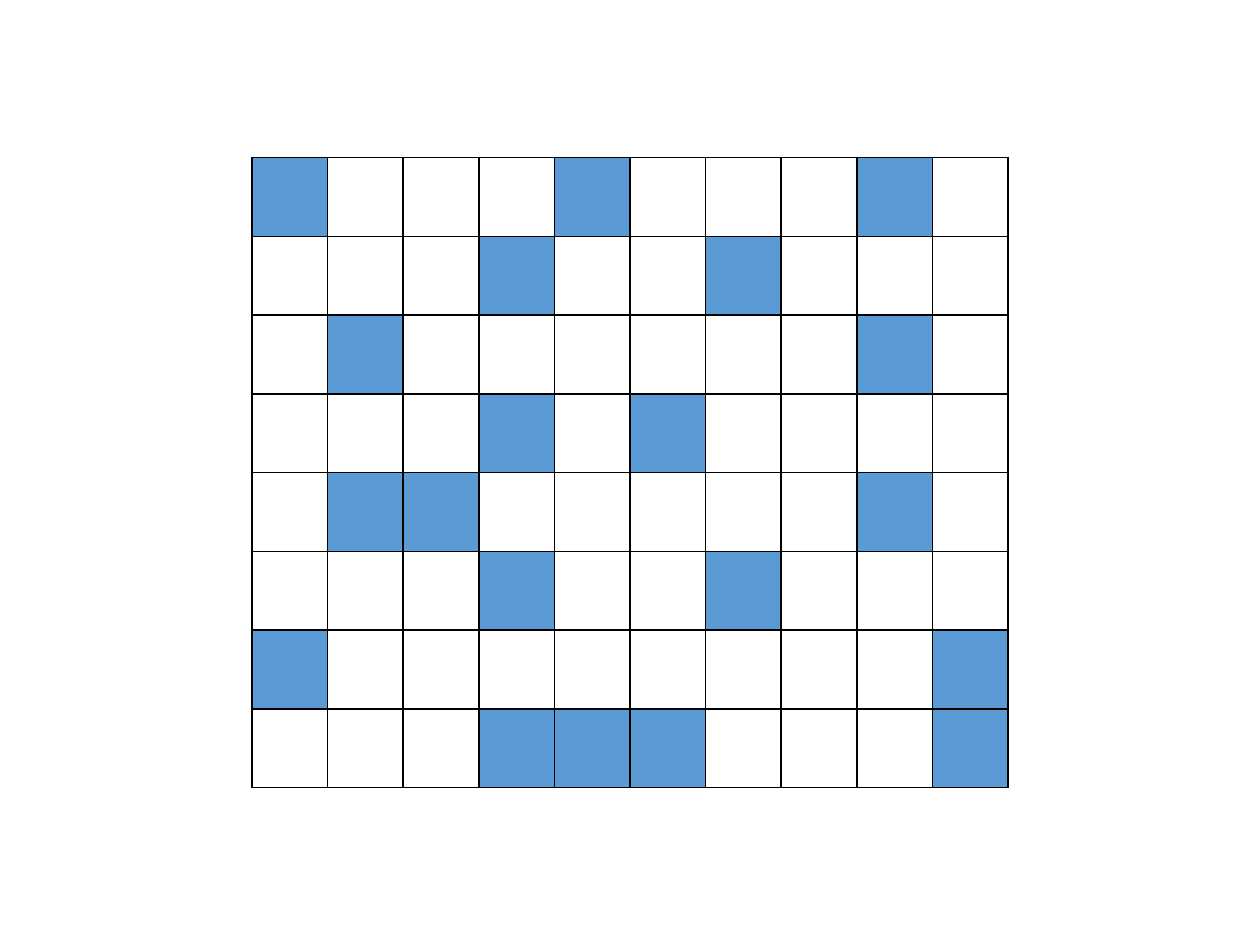
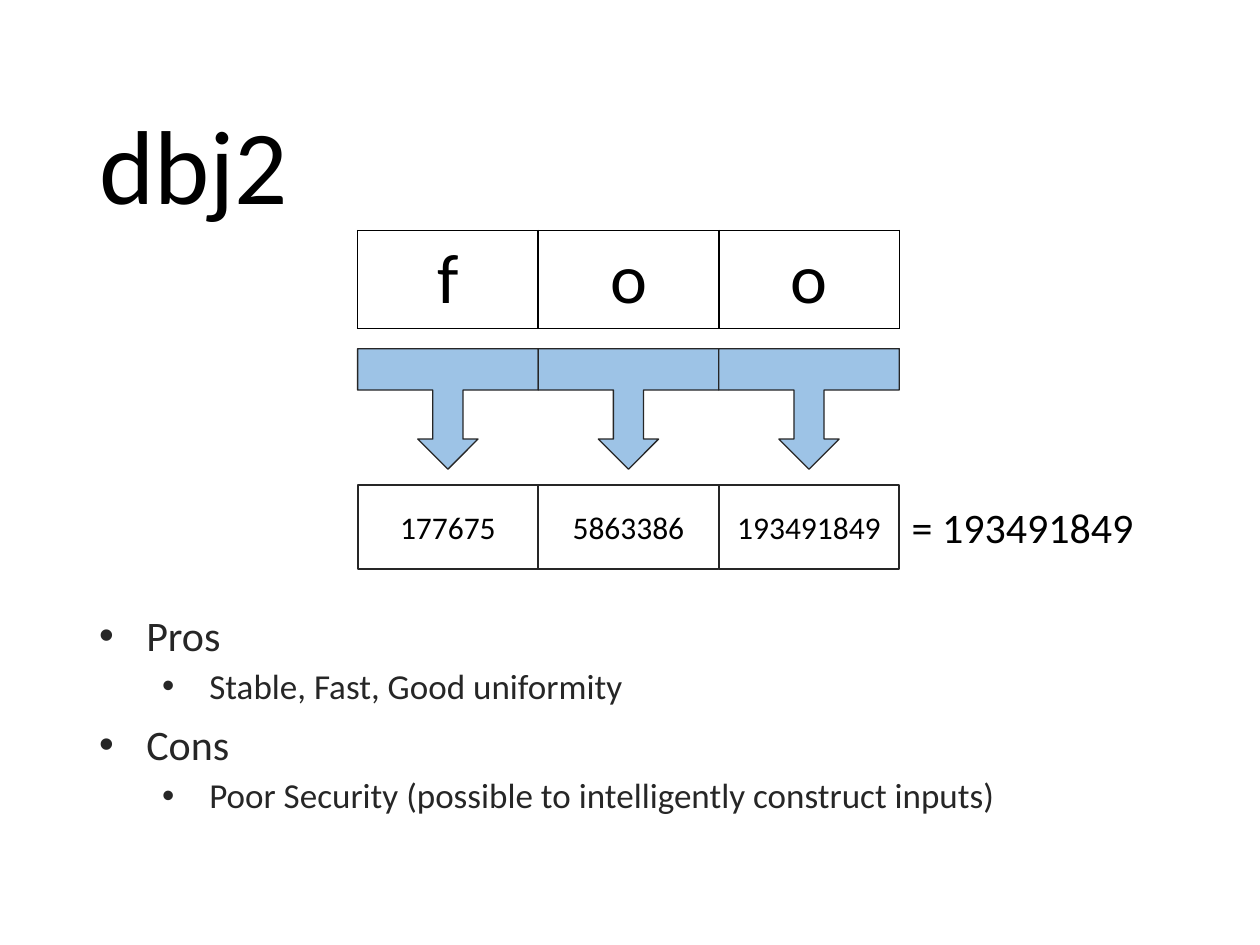
from lxml import etree
from pptx import Presentation
from pptx.dml.color import RGBColor
from pptx.enum.shapes import MSO_SHAPE
from pptx.enum.text import MSO_ANCHOR, PP_ALIGN
from pptx.oxml.ns import qn
from pptx.util import Cm, Pt

CALLOUT, RECTANGLE = MSO_SHAPE.DOWN_ARROW_CALLOUT, MSO_SHAPE.RECTANGLE
MIDDLE, BOTTOM, TOP = MSO_ANCHOR.MIDDLE, MSO_ANCHOR.BOTTOM, MSO_ANCHOR.TOP
CENTER, LEFT = PP_ALIGN.CENTER, PP_ALIGN.LEFT

FONT = "Calibri"
COLORS = {
    "bucket": "5B9BD5",
    "arrow": "9DC3E6",
    "paper": "FFFFFF",
    "ink": "000000",
    "soft_ink": "262626",
}

HASH_BUCKETS = [
    "#...#...#.",
    "...#..#...",
    ".#......#.",
    "...#.#....",
    ".##.....#.",
    "...#..#...",
    "#........#",
    "...###...#",
]
TITLE = "dbj2"
HASH_STEPS = [("f", "177675"), ("o", "5863386"), ("o", "193491849")]
HASH_RESULT = "= 193491849"
ASSESSMENT = [
    (0, "Pros"),
    (1, "Stable, Fast, Good uniformity"),
    (0, "Cons"),
    (1, "Poor Security (possible to intelligently construct inputs)"),
]
LEVELS = [
    {"size": 24, "before": 10, "indent": 0.95},
    {"size": 20, "before": 5, "indent": 2.22},
]
HANGING = 0.95
ARROW_ADJUSTMENTS = [0.25, 0.25, 0.25, 0.343]

MARGIN, BODY_WIDTH = 1.75, 21.9
STEP_LEFT, STEP_WIDTH = 7.21, 3.64


def color(name):
    return RGBColor.from_string(COLORS[name])


def style(paragraph, size, ink="ink", align=LEFT):
    paragraph.alignment = align
    paragraph.font.name = FONT
    paragraph.font.size = Pt(size)
    paragraph.font.color.rgb = color(ink)


def add_text(slide, box, text, size, anchor=TOP):
    frame = slide.shapes.add_textbox(*map(Cm, box)).text_frame
    frame.word_wrap = True
    frame.vertical_anchor = anchor
    paragraph = frame.paragraphs[0]
    paragraph.text = text
    style(paragraph, size)
    return paragraph


def add_block(slide, kind, box, fill, line_width):
    block = slide.shapes.add_shape(kind, *map(Cm, box))
    block.shadow.inherit = False
    block.fill.solid()
    block.fill.fore_color.rgb = color(fill)
    block.line.color.rgb = color("soft_ink")
    block.line.width = Pt(line_width)
    return block


def add_grid(slide, box, fills):
    rows, columns = len(fills), len(fills[0])
    grid = slide.shapes.add_table(rows, columns, *map(Cm, box)).table
    grid.first_row = grid.horz_banding = False
    for column in grid.columns:
        column.width = Cm(box[2] / columns)
    for row, row_fills in zip(grid.rows, fills):
        row.height = Cm(box[3] / rows)
        for cell, fill in zip(row.cells, row_fills):
            add_borders(cell)
            cell.fill.solid()
            cell.fill.fore_color.rgb = color(fill)
    return grid


def add_borders(cell):
    properties = cell._tc.get_or_add_tcPr()
    for side in ("lnL", "lnR", "lnT", "lnB"):
        border = etree.SubElement(properties, qn(f"a:{side}"), w=str(Pt(1)))
        solid = etree.SubElement(border, qn("a:solidFill"))
        etree.SubElement(solid, qn("a:srgbClr"), val=COLORS["ink"])


def add_bullet(paragraph, indent):
    properties = paragraph._p.get_or_add_pPr()
    properties.set("marL", str(Cm(indent)))
    properties.set("indent", str(-Cm(HANGING)))
    etree.SubElement(properties, qn("a:buFont"), typeface="Arial")
    etree.SubElement(properties, qn("a:buChar"), char="•")


def build_buckets(slide):
    fills = [["bucket" if mark == "#" else "paper" for mark in row] for row in HASH_BUCKETS]
    add_grid(slide, (5.08, 3.18, 15.24, 12.7), fills)


def build_hash(slide):
    add_text(slide, (MARGIN, 1.02, BODY_WIDTH, 3.68), TITLE, 60, BOTTOM).line_spacing = 0.9

    count = len(HASH_STEPS)
    letters = add_grid(slide, (STEP_LEFT, 4.65, STEP_WIDTH * count, 1.97), [["paper"] * count])
    for index, (letter, hash_value) in enumerate(HASH_STEPS):
        cell = letters.cell(0, index)
        cell.text = letter
        cell.vertical_anchor = MIDDLE
        style(cell.text_frame.paragraphs[0], 40, align=CENTER)

        left = STEP_LEFT + index * STEP_WIDTH
        arrow = add_block(slide, CALLOUT, (left, 7.03, STEP_WIDTH, 2.43), "arrow", 0.75)
        for position, adjustment in enumerate(ARROW_ADJUSTMENTS):
            arrow.adjustments[position] = adjustment

        running_hash = add_block(slide, RECTANGLE, (left, 9.78, STEP_WIDTH, 1.7), "paper", 1.25)
        running_hash.text_frame.text = hash_value
        running_hash.text_frame.vertical_anchor = MIDDLE
        style(running_hash.text_frame.paragraphs[0], 18, align=CENTER)

    result_left = STEP_LEFT + count * STEP_WIDTH
    add_text(slide, (result_left, 9.98, 5.51, 1.27), HASH_RESULT, 24)

    assessment = slide.shapes.add_textbox(*map(Cm, (MARGIN, 12.27, BODY_WIDTH, 4.88))).text_frame
    assessment.word_wrap = True
    for index, (depth, text) in enumerate(ASSESSMENT):
        level = LEVELS[depth]
        paragraph = assessment.add_paragraph() if index else assessment.paragraphs[0]
        paragraph.text = text
        paragraph.level = depth
        add_bullet(paragraph, level["indent"])
        paragraph.line_spacing = 0.9
        paragraph.space_before = Pt(level["before"])
        style(paragraph, level["size"], "soft_ink")


deck = Presentation()
deck.slide_width, deck.slide_height = Cm(25.4), Cm(19.05)
for build in (build_buckets, build_hash):
    build(deck.slides.add_slide(deck.slide_layouts[6]))
deck.save("out.pptx")
